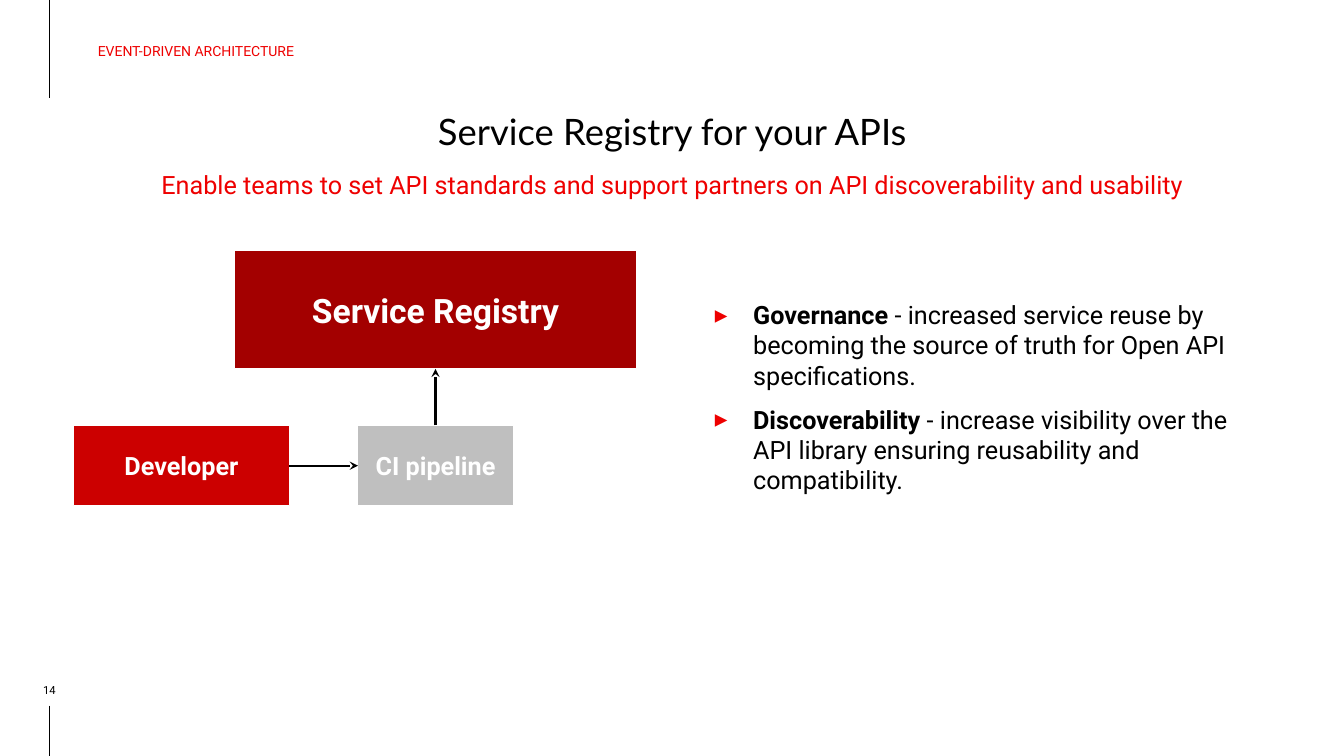
from dataclasses import dataclass

from lxml.etree import SubElement
from pptx import Presentation
from pptx.dml.color import RGBColor
from pptx.enum.shapes import MSO_CONNECTOR as Connector, MSO_SHAPE as Shape
from pptx.enum.text import MSO_ANCHOR as Anchor, MSO_AUTO_SIZE as AutoSize, PP_ALIGN as Align
from pptx.oxml.ns import qn
from pptx.util import Inches, Pt


@dataclass(frozen=True)
class Theme:
    heading_font: str = "Lato"
    body_font: str = "Roboto"
    accent: str = "EE0000"
    ink: str = "000000"
    paper: str = "FFFFFF"
    dark_red: str = "A30000"
    red: str = "CC0000"
    grey: str = "BFBFBF"
    title: int = 26
    box_title: int = 24
    body: int = 18
    label: int = 10
    number: int = 8
    rule: float = 0.75
    arrow: float = 1.5


THEME = Theme()
SECTION = "EVENT-DRIVEN ARCHITECTURE"
TITLE = "Service Registry for your APIs"
SUBTITLE = "Enable teams to set API standards and support partners on API discoverability and usability"
PAGE_NUMBER = "14"
BENEFITS = [
    ("Governance ", "- increased service reuse by becoming the source of truth for Open API specifications."),
    ("Discoverability ", "- increase visibility over the API library ensuring reusability and compatibility."),
]
BOXES = {
    "Service Registry": ((2.33, 2.49, 3.98, 1.17), THEME.dark_red, THEME.box_title),
    "Developer": ((0.73, 4.22, 2.14, 0.8), THEME.red, THEME.body),
    "CI pipeline": ((3.55, 4.22, 1.54, 0.8), THEME.grey, THEME.body),
}
TOP, LEFT, BOTTOM, RIGHT = range(4)
ARROWS = [("Developer", RIGHT, "CI pipeline", LEFT), ("CI pipeline", TOP, "Service Registry", BOTTOM)]
MARGIN_X = 0.49
MARGIN_RULES = [(0, 0.97), (7, 7.5)]
CONTENT_LEFT, CONTENT_WIDTH = 0.97, 11.4


def color(value):
    """Turn a hex string into a colour."""
    return RGBColor.from_string(value)


def set_frame(shape, anchor=Anchor.TOP, insets=(0, 0, 0, 0)):
    """Prepare a shape's text frame and return it."""
    frame = shape.text_frame
    frame.word_wrap = True
    frame.auto_size = AutoSize.NONE
    frame.vertical_anchor = anchor
    frame.margin_left, frame.margin_top, frame.margin_right, frame.margin_bottom = map(Inches, insets)
    return frame


def add_text(para, text, size=THEME.body, font=THEME.body_font, ink=THEME.ink, bold=False,
             align=None, spacing=None, before=None, after=None):
    """Add a formatted span to a paragraph."""
    span = para.add_run()
    span.text = text
    span.font.size, span.font.name, span.font.bold = Pt(size), font, bold
    span.font.color.rgb = color(ink)
    if align is not None:
        para.alignment = align
    if spacing is not None:
        para.line_spacing = spacing
    if before is not None:
        para.space_before = Pt(before)
    if after is not None:
        para.space_after = Pt(after)


def add_text_box(page, place, **frame_format):
    """Add a text box and return its frame."""
    return set_frame(page.shapes.add_textbox(*map(Inches, place)), **frame_format)


def add_bullet(para, mark="▸"):
    """Give a paragraph a hanging accent bullet."""
    properties = para._p.get_or_add_pPr()
    properties.set("marL", str(Inches(0.5)))
    properties.set("indent", str(-Inches(0.38)))
    tint = SubElement(properties, qn("a:buClr"))
    SubElement(tint, qn("a:srgbClr"), val=THEME.accent)
    SubElement(properties, qn("a:buFont"), typeface=THEME.body_font)
    SubElement(properties, qn("a:buChar"), char=mark)


def add_line(page, start=(0, 0), end=(0, 0), width=THEME.rule, arrow=False):
    """Add a straight line, with an optional arrowhead at its end."""
    line = page.shapes.add_connector(Connector.STRAIGHT, *map(Inches, (*start, *end)))
    line.line.color.rgb = color(THEME.ink)
    line.line.width = Pt(width)
    if arrow:
        SubElement(line.line._get_or_add_ln(), qn("a:tailEnd"), type="stealth")
    SubElement(line._element.spPr, qn("a:effectLst"))
    return line


def add_box(page, text, place, fill, size):
    """Add a filled diagram box with a bold label."""
    box = page.shapes.add_shape(Shape.RECTANGLE, *map(Inches, place))
    box.shadow.inherit = False
    box.fill.solid()
    box.fill.fore_color.rgb = color(fill)
    box.line.color.rgb = color(THEME.paper)
    box.line.width = Pt(THEME.rule)
    frame = set_frame(box, Anchor.MIDDLE, (0.1,) * 4)
    add_text(frame.paragraphs[0], text, size=size, ink=THEME.paper, bold=True, align=Align.CENTER)
    return box


def add_headings(page):
    """Fill the title, section label, subtitle and page number."""
    title = page.shapes.title
    title.left, title.top, title.width, title.height = map(Inches, (CONTENT_LEFT, 0.95, CONTENT_WIDTH, 0.6))
    add_text(set_frame(title).paragraphs[0], TITLE, size=THEME.title, font=THEME.heading_font,
             align=Align.CENTER, spacing=1.3)
    section = add_text_box(page, (MARGIN_X, 0.06, 5.63, 0.89), anchor=Anchor.MIDDLE, insets=(0.48, 0.1, 0.1, 0.1))
    add_text(section.paragraphs[0], SECTION, size=THEME.label, ink=THEME.accent)
    subtitle = add_text_box(page, (CONTENT_LEFT, 1.56, CONTENT_WIDTH, 0.77))
    add_text(subtitle.paragraphs[0], SUBTITLE, ink=THEME.accent, align=Align.CENTER, spacing=1.4, after=5)
    number = add_text_box(page, (0.09, 6.75, 0.8, 0.16), anchor=Anchor.BOTTOM)
    add_text(number.paragraphs[0], PAGE_NUMBER, size=THEME.number, align=Align.CENTER)


def add_benefits(page):
    """Add the bulleted list of benefits."""
    frame = add_text_box(page, (6.97, 2.58, 5.4, 2.72), anchor=Anchor.MIDDLE)
    for index, (name, detail) in enumerate(BENEFITS):
        para = frame.add_paragraph() if index else frame.paragraphs[0]
        add_text(para, name, bold=True, before=10, after=10 if index == len(BENEFITS) - 1 else 0)
        add_text(para, detail)
        add_bullet(para)


def add_diagram(page):
    """Add the boxes and the arrows that join them."""
    boxes = {name: add_box(page, name, *style) for name, style in BOXES.items()}
    for source, exit_side, target, entry_side in ARROWS:
        arrow = add_line(page, width=THEME.arrow, arrow=True)
        arrow.begin_connect(boxes[source], exit_side)
        arrow.end_connect(boxes[target], entry_side)


def main():
    """Build and save the slide."""
    deck = Presentation()
    deck.slide_width, deck.slide_height = Inches(13.33), Inches(7.5)
    page = deck.slides.add_slide(deck.slide_layouts[5])
    for top, bottom in MARGIN_RULES:
        add_line(page, (MARGIN_X, top), (MARGIN_X, bottom))
    add_headings(page)
    add_benefits(page)
    add_diagram(page)
    deck.save("out.pptx")


if __name__ == "__main__":
    main()
